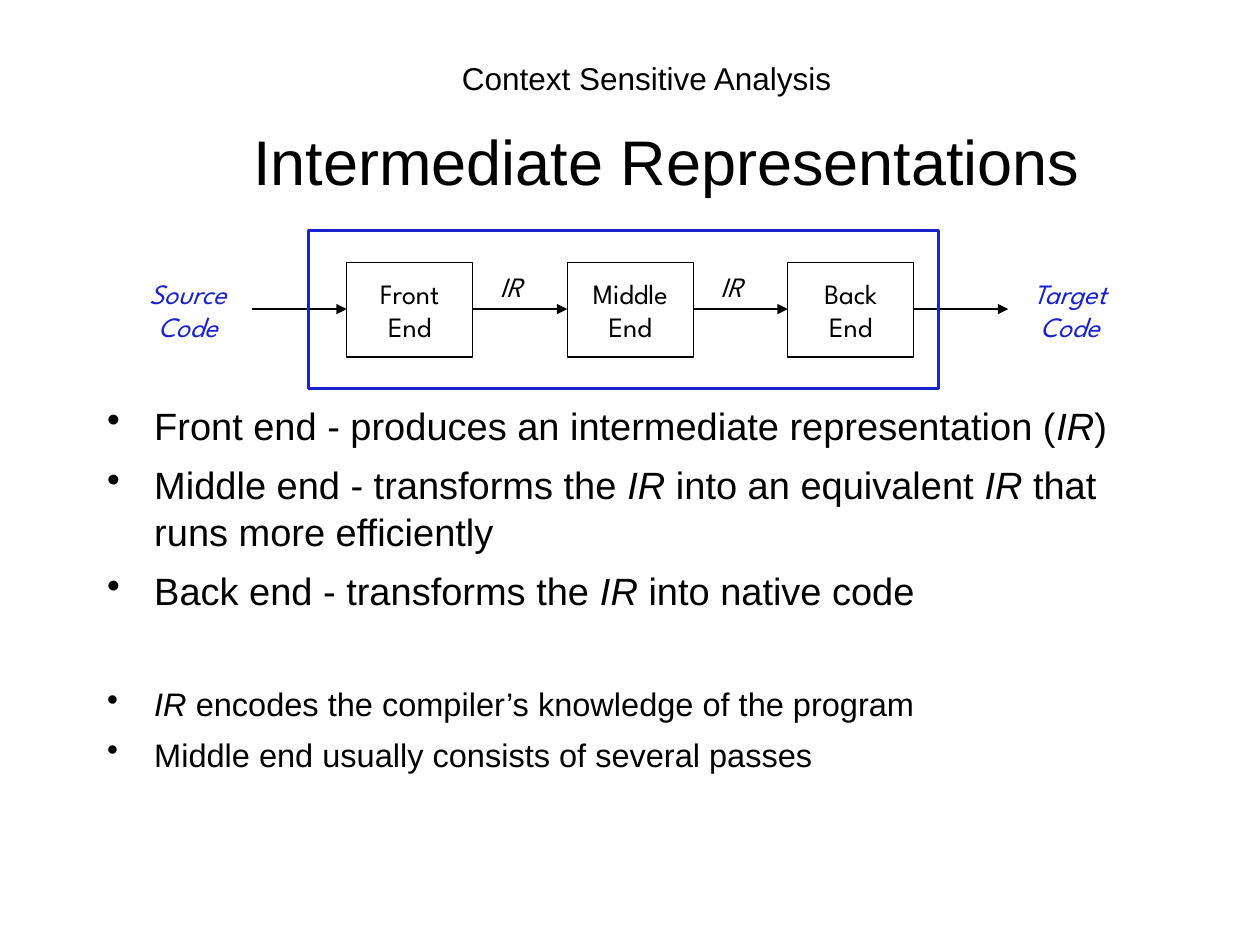
import pptx
import pptx.util
import pptx.dml.color
import pptx.enum.shapes
import pptx.enum.text
import pptx.oxml
import pptx.oxml.ns

Cm = pptx.util.Cm
Pt = pptx.util.Pt
ALIGN = pptx.enum.text.PP_ALIGN
ANCHOR = pptx.enum.text.MSO_ANCHOR

BLACK = pptx.dml.color.RGBColor(0x00, 0x00, 0x00)
WHITE = pptx.dml.color.RGBColor(0xFF, 0xFF, 0xFF)
BLUE = pptx.dml.color.RGBColor(0x18, 0x22, 0xCD)

BODY_FONT = "Arial"
DIAGRAM_FONT = "League Spartan"

STAGES = ["Front", "Middle", "Back"]
STAGE_WIDTH = 2.54
STAGE_HEIGHT = 0.75 * STAGE_WIDTH
STAGE_GAP = 0.75 * STAGE_WIDTH
STAGE_LEFT = 6.99
STAGE_TOP = 5.29
FLOW_Y = 6.23

POINTS = [
    ("Front end - produces an intermediate representation (*IR*)", 21.7, 0),
    ("Middle end - transforms the *IR *into an equivalent *IR* that runs more efficiently", 21.7, 7),
    ("Back end - transforms the *IR* into native code", 21.7, 7),
    ("*IR *encodes the compiler’s knowledge of the program", 18.6, 40),
    ("Middle end usually consists of several passes", 18.6, 6),
]


def add_bullet(paragraph, indent):
    properties = paragraph._p.get_or_add_pPr()
    properties.set("marL", str(indent))
    properties.set("indent", str(-indent))
    bullet = pptx.oxml.parse_xml(
        f'<a:buChar {pptx.oxml.ns.nsdecls("a")} char="•"/>')
    properties.append(bullet)


def write(paragraph, text, *, size, font=BODY_FONT, color=BLACK, italic=False,
          align=ALIGN.LEFT, before=0):
    paragraph.alignment = align
    paragraph.space_before = Pt(before)
    for index, part in enumerate(text.split("*")):
        if part:
            run = paragraph.add_run()
            run.text = part
            run.font.name = font
            run.font.size = Pt(size)
            run.font.color.rgb = color
            run.font.italic = italic or index % 2 == 1


def write_lines(frame, lines, **text_format):
    for index, line in enumerate(lines):
        paragraph = frame.add_paragraph() if index else frame.paragraphs[0]
        write(paragraph, line, **text_format)


def add_label(slide, left, top, width, height, lines, *, anchor=ANCHOR.MIDDLE,
              wrap=False, **text_format):
    label = slide.shapes.add_textbox(Cm(left), Cm(top), Cm(width), Cm(height))
    label.text_frame.word_wrap = wrap
    label.text_frame.vertical_anchor = anchor
    write_lines(label.text_frame, lines, **text_format)


def add_box(slide, left, top, width, height, color, weight):
    box = slide.shapes.add_shape(
        pptx.enum.shapes.MSO_SHAPE.RECTANGLE,
        Cm(left), Cm(top), Cm(width), Cm(height))
    box.shadow.inherit = False
    box.fill.background()
    box.line.color.rgb = color
    box.line.width = Pt(weight)
    return box


def add_stage(slide, left, name):
    stage = add_box(slide, left, STAGE_TOP, STAGE_WIDTH, STAGE_HEIGHT, BLACK, 0.75)
    stage.text_frame.word_wrap = False
    stage.text_frame.vertical_anchor = ANCHOR.MIDDLE
    write_lines(stage.text_frame, [name, "End"], size=16, font=DIAGRAM_FONT,
                align=ALIGN.CENTER)


def add_arrow(slide, start):
    arrow = slide.shapes.add_connector(
        pptx.enum.shapes.MSO_CONNECTOR.STRAIGHT,
        Cm(start), Cm(FLOW_Y), Cm(start + STAGE_GAP), Cm(FLOW_Y))
    arrow.line.color.rgb = BLACK
    arrow.line.width = Pt(0.75)
    namespace = pptx.oxml.ns.nsdecls("a")
    arrow.line._get_or_add_ln().append(
        pptx.oxml.parse_xml(f'<a:tailEnd {namespace} type="triangle"/>'))
    arrow._element.spPr.append(pptx.oxml.parse_xml(f"<a:effectLst {namespace}/>"))


def add_points(slide):
    points = slide.shapes.add_textbox(Cm(1.91), Cm(7.9), Cm(21.59), Cm(8.81))
    points.fill.solid()
    points.fill.fore_color.rgb = WHITE
    frame = points.text_frame
    frame.word_wrap = True
    frame.margin_top = Cm(0.18)
    for index, (text, size, before) in enumerate(POINTS):
        paragraph = frame.add_paragraph() if index else frame.paragraphs[0]
        paragraph.line_spacing = 1.03
        add_bullet(paragraph, Cm(0.95))
        write(paragraph, text, size=size, before=before)


def add_pipeline(slide):
    pitch = STAGE_WIDTH + STAGE_GAP
    for index, name in enumerate(STAGES):
        add_stage(slide, STAGE_LEFT + index * pitch, name)
    for index in range(len(STAGES) + 1):
        add_arrow(slide, STAGE_LEFT - STAGE_GAP + index * pitch)
    for index in range(len(STAGES) - 1):
        add_label(slide, STAGE_LEFT + STAGE_WIDTH + 0.3 + index * pitch, 5.31,
                  1.02, 0.94, ["IR"], anchor=ANCHOR.TOP, size=16,
                  font=DIAGRAM_FONT, italic=True)
    add_box(slide, 6.22, 4.65, 12.7, 3.18, BLUE, 1.5)
    for left, name in [(2.54, "Source"), (20.32, "Target")]:
        add_label(slide, left, STAGE_TOP, 2.49, STAGE_HEIGHT, [name, "Code"],
                  size=16, font=DIAGRAM_FONT, color=BLUE, italic=True,
                  align=ALIGN.CENTER)


def main():
    presentation = pptx.Presentation()
    presentation.slide_width = Cm(25.4)
    presentation.slide_height = Cm(19.05)
    slide = presentation.slides.add_slide(presentation.slide_layouts[6])
    add_label(slide, 3.61, 1.07, 18.85, 1.02, ["Context Sensitive Analysis"],
              anchor=ANCHOR.TOP, wrap=True, size=18, align=ALIGN.CENTER)
    add_label(slide, 1.47, 2.11, 23.93, 2.24, ["Intermediate Representations"],
              wrap=True, size=36, align=ALIGN.CENTER)
    add_points(slide)
    add_pipeline(slide)
    presentation.save("out.pptx")


if __name__ == "__main__":
    main()
